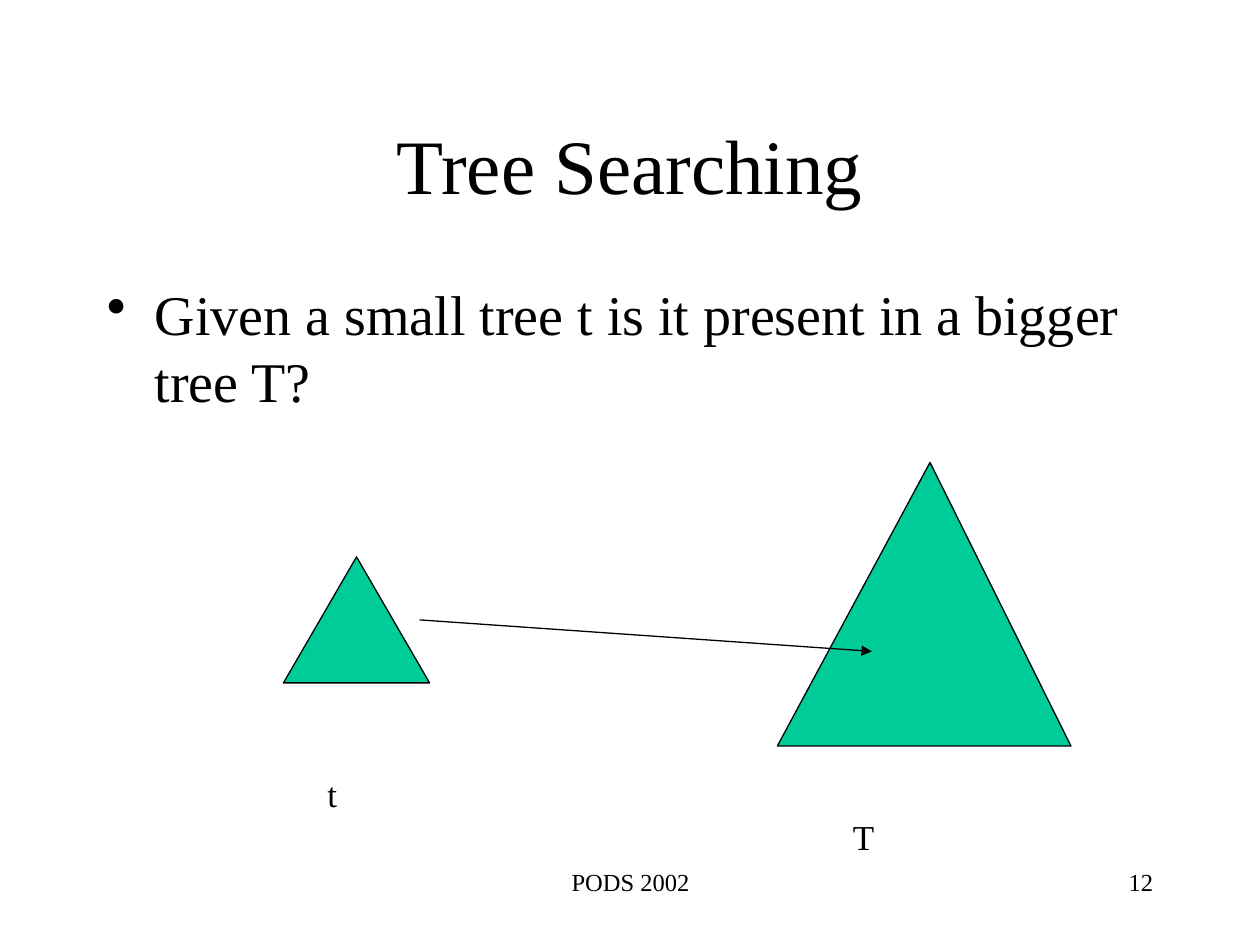
from lxml import etree
from pptx import Presentation
from pptx.dml.color import RGBColor
from pptx.enum.shapes import MSO_CONNECTOR as Connector, MSO_SHAPE as Shape
from pptx.enum.text import MSO_ANCHOR as Anchor, PP_ALIGN as Align
from pptx.oxml.ns import qn
from pptx.util import Inches, Pt


def color(hex_string):
    return RGBColor.from_string(hex_string)


def add_text(text, left, top, width, height, size, align=Align.LEFT, before=0):
    box = slide.shapes.add_textbox(Inches(left), Inches(top), Inches(width), Inches(height))
    box.text_frame.word_wrap = True
    paragraph = box.text_frame.paragraphs[0]
    paragraph.text = text
    paragraph.alignment = align
    paragraph.space_before = Pt(before)
    paragraph.font.name = "Times New Roman"
    paragraph.font.size = Pt(size)
    paragraph.font.color.rgb = color("000000")
    return box.text_frame


prs = Presentation()
prs.slide_width, prs.slide_height = Inches(10), Inches(7.5)
slide = prs.slides.add_slide(prs.slide_layouts[6])

# Title
title = add_text("Tree Searching", 0.75, 0.67, 8.5, 1.25, 44, Align.CENTER)
title.vertical_anchor = Anchor.MIDDLE

# Bulleted question with a hanging indent
question = add_text("Given a small tree t is it present in a bigger tree T?",
                    0.75, 2.17, 8.5, 4.5, 32, before=8)
bullet_props = question.paragraphs[0]._p.get_or_add_pPr()
bullet_props.set("marL", str(Inches(0.38)))
bullet_props.set("indent", str(-Inches(0.38)))
etree.SubElement(bullet_props, qn("a:buChar")).set("char", "•")

# Small tree and bigger tree: left, top, width, height, apex position
for left, top, width, height, apex in [(2.25, 4.42, 1.16, 1, 0.5),
                                       (6.17, 3.67, 2.33, 2.25, 0.52)]:
    tree = slide.shapes.add_shape(Shape.ISOSCELES_TRIANGLE, Inches(left), Inches(top),
                                  Inches(width), Inches(height))
    tree.adjustments[0] = apex
    tree.shadow.inherit = False
    tree.fill.solid()
    tree.fill.fore_color.rgb = color("00CC99")
    tree.line.color.rgb = color("000000")
    tree.line.width = Pt(0.75)

# Arrow from the small tree into the bigger one
arrow = slide.shapes.add_connector(Connector.STRAIGHT, Inches(3.33), Inches(4.92),
                                   Inches(6.92), Inches(5.17))
arrow.line.color.rgb = color("000000")
arrow.line.width = Pt(0.75)
etree.SubElement(arrow.line._get_or_add_ln(), qn("a:tailEnd")).set("type", "triangle")
etree.SubElement(arrow._element.spPr, qn("a:effectLst"))

# Tree labels
add_text("t", 2.5, 6.08, 0.5, 0.44, 20, before=12.5)
add_text("T", 6.67, 6.42, 0.58, 0.44, 20, before=12.5)

# Footer and slide number
add_text("PODS 2002", 3.42, 6.83, 3.17, 0.5, 14, Align.CENTER)
add_text("12", 7.17, 6.83, 2.08, 0.5, 14, Align.RIGHT)

prs.save("out.pptx")
